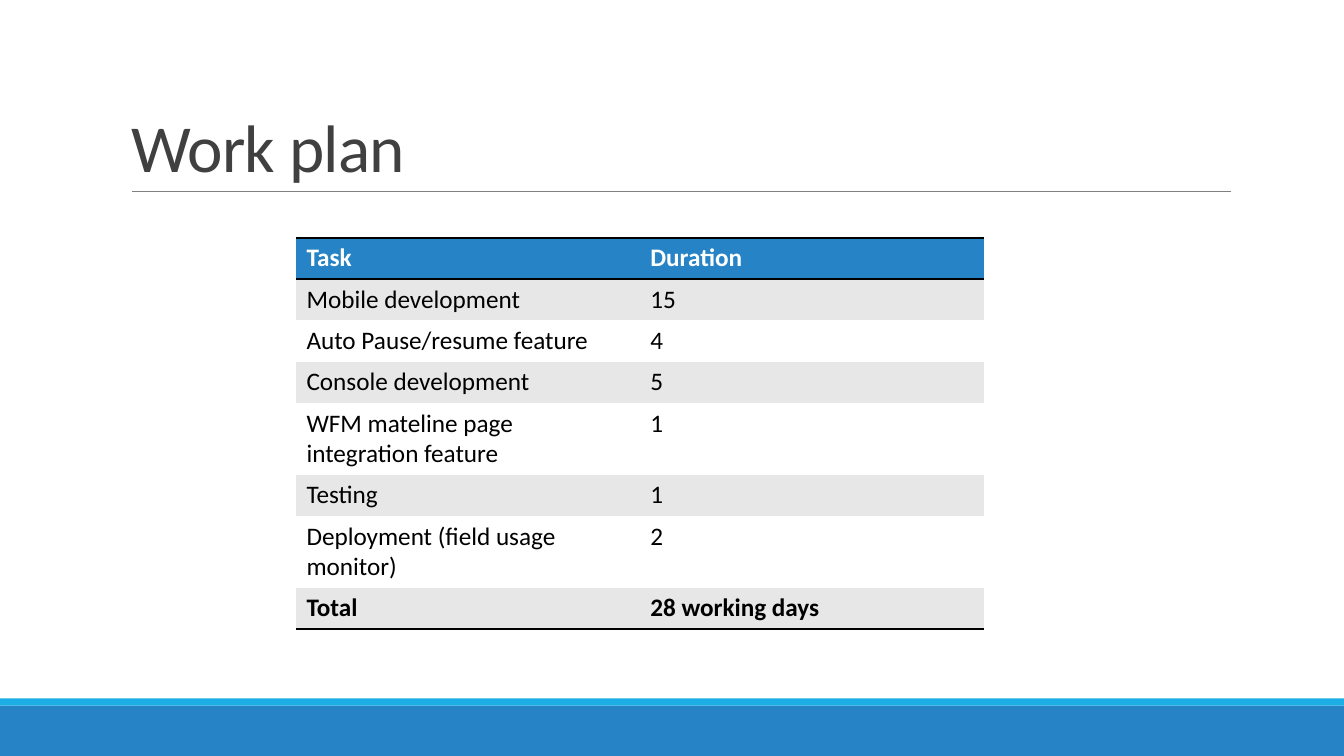
from lxml.etree import SubElement
from pptx import Presentation
from pptx.dml.color import RGBColor
from pptx.enum.shapes import MSO_CONNECTOR, MSO_SHAPE
from pptx.enum.text import MSO_ANCHOR, MSO_AUTO_SIZE, PP_ALIGN
from pptx.oxml import parse_xml
from pptx.oxml.ns import nsdecls, qn
from pptx.util import Inches, Pt


class Theme:
    font = "Calibri"
    title_size, cell_size = Pt(48), Pt(18)
    blue, cyan = RGBColor(0x26, 0x83, 0xC6), RGBColor(0x1C, 0xAD, 0xE4)
    dark, grey = RGBColor(0x40, 0x40, 0x40), RGBColor(0x80, 0x80, 0x80)
    band, white = RGBColor(0xE7, 0xE7, 0xE7), RGBColor(255, 255, 255)
    black = RGBColor(0, 0, 0)


def add_run(para, text, size, color, bold=False):
    run = para.add_run()
    run.text = text
    run.font.name = Theme.font
    run.font.size = size
    run.font.bold = bold
    run.font.color.rgb = color
    return run


def add_edge(cell, side):
    edge = parse_xml(
        f'<a:{side} {nsdecls("a")} w="{Pt(2)}"><a:solidFill>'
        f'<a:srgbClr val="{Theme.black}"/></a:solidFill></a:{side}>'
    )
    props = cell._tc.get_or_add_tcPr()
    # Borders come before the fill, top before bottom
    props.insert(len(props.findall(qn("a:lnT"))), edge)


deck = Presentation()
deck.slide_width, deck.slide_height = Inches(13.33), Inches(7.5)
slide = deck.slides.add_slide(deck.slide_layouts[5])

# Footer bars
for top, height, color in [(7, 0.5, Theme.blue), (6.93, 0.07, Theme.cyan)]:
    bar = slide.shapes.add_shape(
        MSO_SHAPE.RECTANGLE, 0, Inches(top), deck.slide_width, Inches(height))
    bar.shadow.inherit = False
    bar.fill.solid()
    bar.fill.fore_color.rgb = color
    bar.line.fill.background()

# Rule under the title
rule = slide.shapes.add_connector(
    MSO_CONNECTOR.STRAIGHT, Inches(1.31), Inches(1.9), Inches(12.21), Inches(1.9))
rule.line.color.rgb = Theme.grey
rule.line.width = Pt(0.5)
SubElement(rule._element.spPr, qn("a:effectLst"))

# Title
title = slide.shapes.title
title.left, title.top = Inches(1.2), Inches(0.31)
title.width, title.height = Inches(11), Inches(1.59)
frame = title.text_frame
frame.auto_size = MSO_AUTO_SIZE.NONE
frame.word_wrap = True
frame.vertical_anchor = MSO_ANCHOR.BOTTOM
para = frame.paragraphs[0]
para.alignment = PP_ALIGN.LEFT
para.line_spacing = 0.85
run = add_run(para, "Work plan", Theme.title_size, Theme.dark)
run.font._element.set("spc", "-50")

# Task table: text and row height
tasks = [
    ("Task", "Duration", 0.41),
    ("Mobile development", "15", 0.41),
    ("Auto Pause/resume feature", "4", 0.41),
    ("Console development", "5", 0.41),
    ("WFM mateline page integration feature", "1", 0.71),
    ("Testing", "1", 0.41),
    ("Deployment (field usage monitor)", "2", 0.71),
    ("Total", "28 working days", 0.41),
]
holder = slide.shapes.add_table(
    len(tasks), 2, Inches(2.94), Inches(2.36), Inches(6.82), Inches(3.88))
table = holder.table
table.horz_banding = False
# Plain style without grid lines
style = table._tbl.tblPr.find(qn("a:tableStyleId"))
style.text = "{2D5ABB26-0587-4C30-8999-92F81FD0307C}"
for col in table.columns:
    col.width = Inches(3.41)

last = len(tasks) - 1
for row, (task, days, height) in enumerate(tasks):
    table.rows[row].height = Inches(height)
    head = row == 0
    fill = Theme.blue if head else Theme.band if row % 2 else Theme.white
    ink = Theme.white if head else Theme.black
    for col, text in enumerate((task, days)):
        cell = table.cell(row, col)
        cell.fill.solid()
        cell.fill.fore_color.rgb = fill
        add_run(cell.text_frame.paragraphs[0], text, Theme.cell_size, ink,
                bold=row in (0, last))
        if head:
            add_edge(cell, "lnT")
        if row in (0, last):
            add_edge(cell, "lnB")

deck.save("out.pptx")
